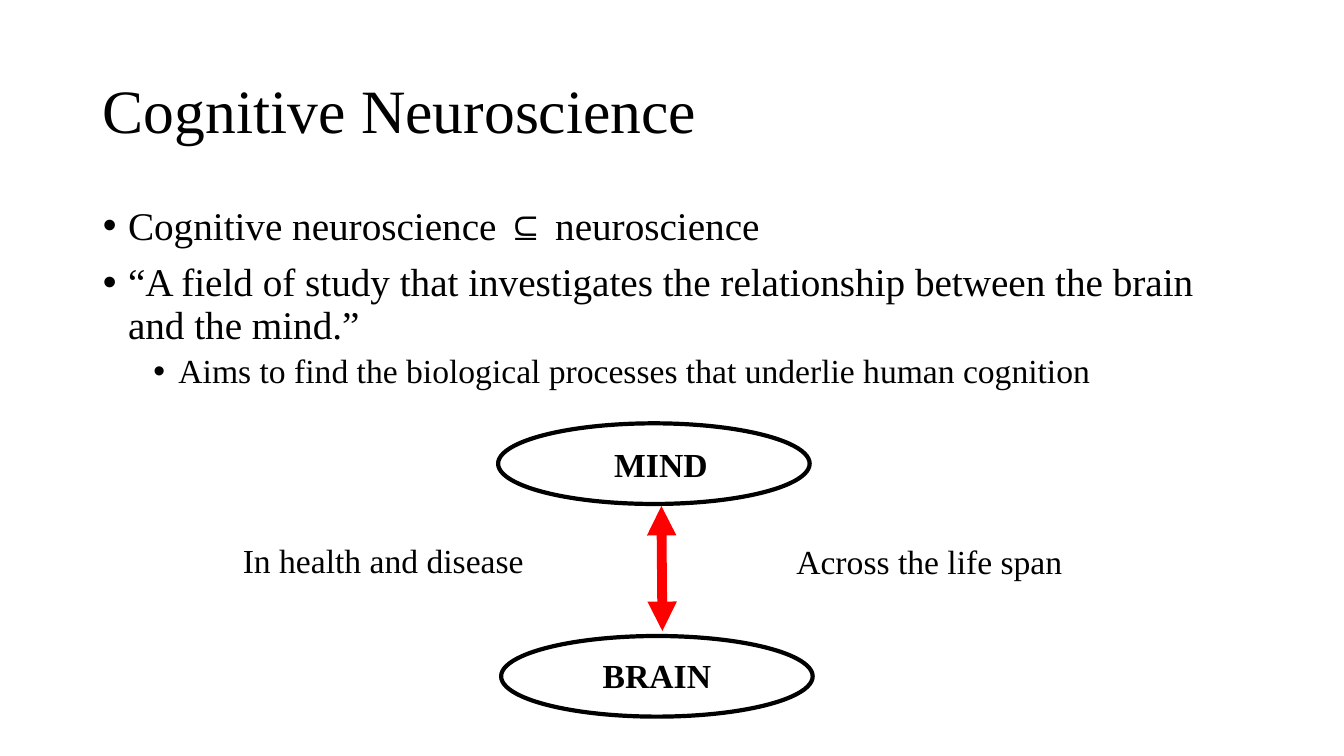
from dataclasses import dataclass

from lxml.etree import SubElement
from pptx import Presentation
from pptx.dml.color import RGBColor
from pptx.enum.shapes import MSO_CONNECTOR, MSO_SHAPE
from pptx.enum.text import MSO_ANCHOR, MSO_AUTO_SIZE, PP_ALIGN
from pptx.oxml.ns import qn
from pptx.slide import Slide
from pptx.util import Inches, Pt

COLORS = {"ink": "000000", "arrow": "FF0000"}
FONT = "Times New Roman"


@dataclass
class Bullet:
    text: str
    level: int = 0


@dataclass
class Oval:
    left: float
    top: float


@dataclass
class Label:
    text: str
    left: float
    top: float
    width: float
    is_concept: bool = False


TITLE = "Cognitive Neuroscience"
BULLETS = [
    Bullet("Cognitive neuroscience ⊆ neuroscience"),
    Bullet("“A field of study that investigates the relationship between the brain and the mind.”"),
    Bullet("Aims to find the biological processes that underlie human cognition", 1),
]
MIND_OVAL = Oval(4.94, 4.2)
BRAIN_OVAL = Oval(4.97, 6.31)
CONCEPTS = [
    Label("MIND", 5.91, 4.35, 1.29, True),
    Label("BRAIN", 5.79, 6.45, 1.45, True),
]
SIDE_LABELS = [
    Label("In health and disease", 2.31, 5.31, 3.01),
    Label("Across the life span", 7.8, 5.32, 2.86),
]


def color(name: str) -> RGBColor:
    return RGBColor.from_string(COLORS[name])


def place(shape, left: float, top: float, width: float, height: float) -> None:
    shape.left, shape.top = Inches(left), Inches(top)
    shape.width, shape.height = Inches(width), Inches(height)


def style(paragraph, size: int, bold: bool = False) -> None:
    font = paragraph.font
    font.name, font.size, font.bold = FONT, Pt(size), bold
    font.color.rgb = color("ink")


def add_title(page: Slide) -> None:
    title = page.shapes.title
    place(title, 0.92, 0.4, 11.5, 1.45)
    frame = title.text_frame
    frame.text = TITLE
    frame.auto_size = MSO_AUTO_SIZE.NONE
    frame.vertical_anchor = MSO_ANCHOR.MIDDLE
    paragraph = frame.paragraphs[0]
    paragraph.alignment = PP_ALIGN.LEFT
    paragraph.line_spacing = 0.9
    style(paragraph, 44)


def add_bullets(page: Slide) -> None:
    body = page.placeholders[1]
    place(body, 0.92, 2, 11.5, 4.76)
    frame = body.text_frame
    frame.text = "\n".join(bullet.text for bullet in BULLETS)
    frame.auto_size = MSO_AUTO_SIZE.NONE
    for index, (paragraph, bullet) in enumerate(zip(frame.paragraphs, BULLETS)):
        paragraph.level = bullet.level
        paragraph.line_spacing = 0.9
        paragraph.space_before = Pt((5 if bullet.level else 10) if index else 0)
        properties = paragraph._p.get_or_add_pPr()
        properties.set("marL", str(Inches(0.25 + 0.5 * bullet.level)))
        properties.set("indent", str(Inches(-0.25)))
        SubElement(properties, qn("a:buFont"), typeface="Arial")
        SubElement(properties, qn("a:buChar"), char="•")
        style(paragraph, 28 - 4 * bullet.level)


def add_oval(page: Slide, oval: Oval) -> None:
    shape = page.shapes.add_shape(
        MSO_SHAPE.OVAL, Inches(oval.left), Inches(oval.top), Inches(3.09), Inches(0.8)
    )
    shape.shadow.inherit = False
    shape.fill.background()
    shape.line.color.rgb = color("ink")
    shape.line.width = Pt(3)


def add_label(page: Slide, label: Label) -> None:
    box = page.shapes.add_textbox(
        Inches(label.left), Inches(label.top), Inches(label.width), Inches(0.5)
    )
    frame = box.text_frame
    frame.text = label.text
    frame.word_wrap = label.is_concept
    frame.auto_size = MSO_AUTO_SIZE.SHAPE_TO_FIT_TEXT
    paragraph = frame.paragraphs[0]
    paragraph.alignment = PP_ALIGN.CENTER if label.is_concept else PP_ALIGN.LEFT
    style(paragraph, 24, label.is_concept)


def add_double_arrow(page: Slide) -> None:
    arrow = page.shapes.add_connector(
        MSO_CONNECTOR.STRAIGHT, Inches(6.56), Inches(5.02), Inches(6.57), Inches(6.26)
    )
    arrow.line.color.rgb = color("arrow")
    arrow.line.width = Pt(7)
    line = arrow.line._get_or_add_ln()
    for end in ("a:headEnd", "a:tailEnd"):
        SubElement(line, qn(end), type="triangle")
    SubElement(arrow._element.spPr, qn("a:effectLst"))


def main() -> None:
    deck = Presentation()
    deck.slide_width, deck.slide_height = Inches(13.33), Inches(7.5)
    page = deck.slides.add_slide(deck.slide_layouts[1])
    add_title(page)
    add_bullets(page)
    add_oval(page, MIND_OVAL)
    for label in CONCEPTS:
        add_label(page, label)
    add_double_arrow(page)
    add_oval(page, BRAIN_OVAL)
    for label in SIDE_LABELS:
        add_label(page, label)
    deck.save("out.pptx")


if __name__ == "__main__":
    main()
